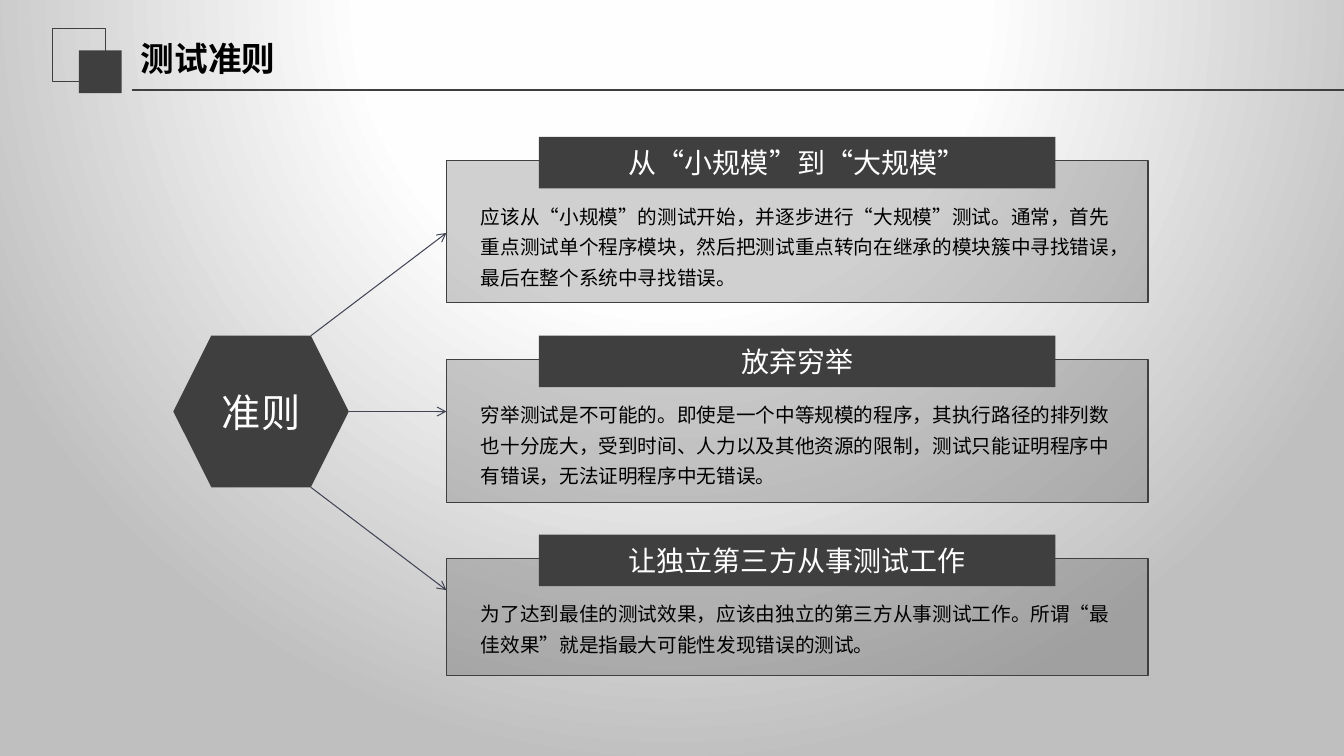
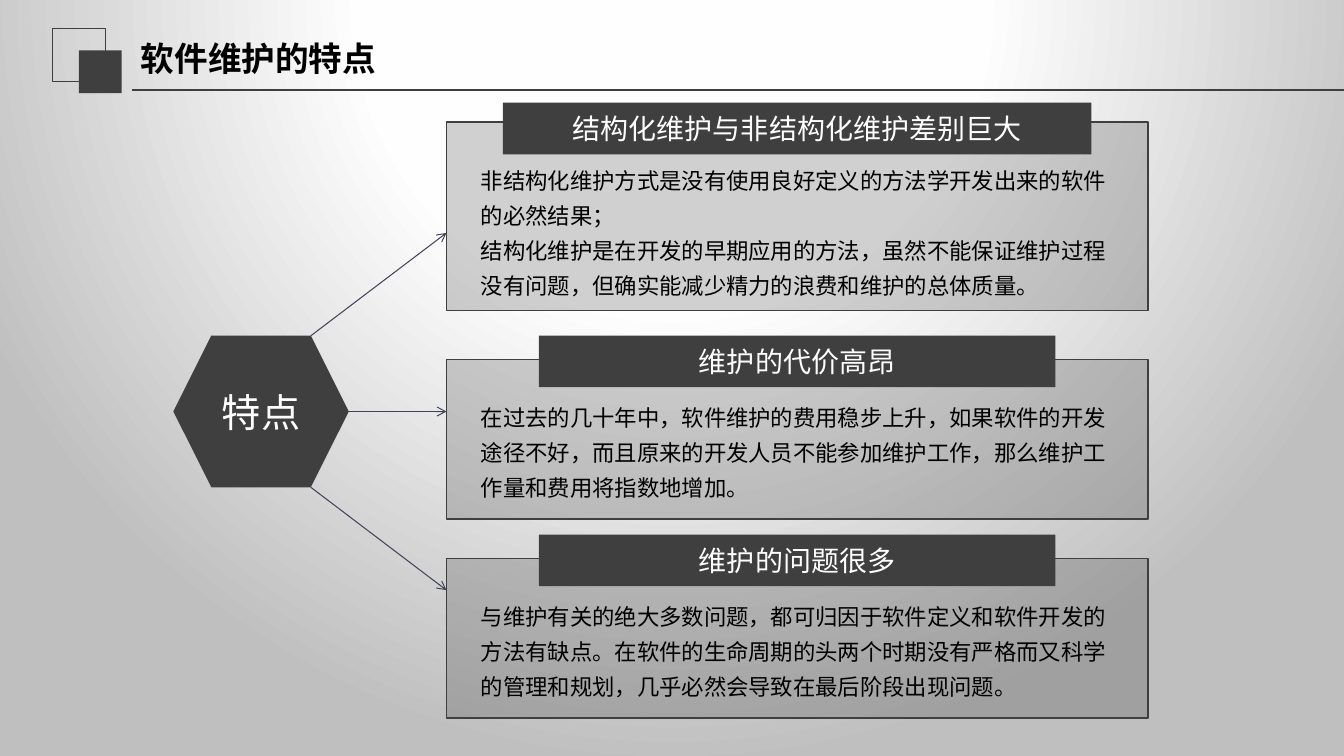
from dataclasses import dataclass

from lxml import etree
from pptx import Presentation
from pptx import oxml
from pptx import util as u
from pptx.dml import color
from pptx.enum import shapes, text
from pptx.oxml import ns

COLORS = {
    "dark": "3F3F3F",
    "arrow": "414455",
    "title": "000000",
    "body": "000000",
    "light": "FFFFFF",
}
BACKDROP_STOPS = [(0, "FFFFFF"), (40, "FEFEFE"), (100, "BFBFBF")]
CJK_FONT = "Noto Sans CJK SC"
TITLE_FONT = "Calibri"

SLIDE_W, SLIDE_H = 33.87, 19.05
PANEL_LEFT, PANEL_W = 11.25, 17.68
BANNER_H = 1.3
BODY_LEFT, BODY_W = 11.87, 16.8
FIRST_TOP, PITCH = 3.45, 5.01
HUB_LEFT, HUB_TOP, HUB_W, HUB_H = 4.37, 8.46, 4.42, 3.82
ARROW_SPREAD = 4.5


@dataclass(frozen=True)
class Box:
    left: float
    top: float
    width: float
    height: float

    def lengths(self) -> list[u.Length]:
        return [u.Cm(v) for v in (self.left, self.top, self.width, self.height)]


@dataclass(frozen=True)
class TextStyle:
    size: float
    color: str
    font: str = CJK_FONT
    bold: bool = False
    align: text.PP_ALIGN | None = None
    spacing: float | None = None


@dataclass(frozen=True)
class Card:
    heading: str
    paragraphs: tuple[str, ...]
    lines: int
    panel_h: float
    lift: float = 0
    banner_w: float = 13.02
    panel_drop: float = 0.6
    body_drop: float = 1.4


@dataclass(frozen=True)
class Topic:
    title: str
    hub: str
    body_size: float
    cards: tuple[Card, ...]


TOPICS = (
    Topic("测试准则", "准则", 14, (
        Card("从“小规模”到“大规模”",
             ("应该从“小规模”的测试开始，并逐步进行“大规模”测试。通常，首先重点测试单个程序模块，"
              "然后把测试重点转向在继承的模块簇中寻找错误，最后在整个系统中寻找错误。",), 3, 3.58),
        Card("放弃穷举",
             ("穷举测试是不可能的。即使是一个中等规模的程序，其执行路径的排列数也十分庞大，"
              "受到时间、人力以及其他资源的限制，测试只能证明程序中有错误，无法证明程序中无错误。",), 3, 3.6),
        Card("让独立第三方从事测试工作",
             ("为了达到最佳的测试效果，应该由独立的第三方从事测试工作。"
              "所谓“最佳效果”就是指最大可能性发现错误的测试。",), 2, 2.95),
    )),
    Topic("软件维护的特点", "特点", 16, (
        Card("结构化维护与非结构化维护差别巨大",
             ("非结构化维护方式是没有使用良好定义的方法学开发出来的软件的必然结果；",
              "结构化维护是在开发的早期应用的方法，虽然不能保证维护过程没有问题，"
              "但确实能减少精力的浪费和维护的总体质量。"), 4, 4.75,
             lift=0.86, banner_w=14.83, panel_drop=0.49, body_drop=1.3),
        Card("维护的代价高昂",
             ("在过去的几十年中，软件维护的费用稳步上升，如果软件的开发途径不好，"
              "而且原来的开发人员不能参加维护工作，那么维护工作量和费用将指数地增加。",), 3, 4.02),
        Card("维护的问题很多",
             ("与维护有关的绝大多数问题，都可归因于软件定义和软件开发的方法有缺点。"
              "在软件的生命周期的头两个时期没有严格而又科学的管理和规划，"
              "几乎必然会导致在最后阶段出现问题。",), 3, 4.02),
    )),
)

TITLE_STYLE = TextStyle(24, "title", TITLE_FONT, bold=True)
BANNER_STYLE = TextStyle(20, "light", align=text.PP_ALIGN.CENTER)
HUB_STYLE = TextStyle(28, "light", align=text.PP_ALIGN.CENTER)


def rgb(name: str) -> color.RGBColor:
    return color.RGBColor.from_string(COLORS[name])


def write(frame, paragraphs: tuple[str, ...], style: TextStyle) -> None:
    frame.word_wrap = True
    for index, content in enumerate(paragraphs):
        paragraph = frame.add_paragraph() if index else frame.paragraphs[0]
        paragraph.text = content
        paragraph.alignment = style.align
        paragraph.line_spacing = style.spacing
        font = paragraph.font
        font.size = u.Pt(style.size)
        font.bold = style.bold
        font.color.rgb = rgb(style.color)
        font.name = style.font
        defaults = next(paragraph._p.iter(ns.qn("a:defRPr")))
        etree.SubElement(defaults, ns.qn("a:ea"), typeface=CJK_FONT)


def add_block(slide, box: Box, kind=shapes.MSO_SHAPE.RECTANGLE, fill: str | None = None,
              opacity: int = 100, line: str | None = None, line_pt: float = 1):
    block = slide.shapes.add_shape(kind, *box.lengths())
    block.shadow.inherit = False
    if fill:
        block.fill.solid()
        block.fill.fore_color.rgb = rgb(fill)
        if opacity < 100:
            tint = next(block._element.spPr.iter(ns.qn("a:srgbClr")))
            etree.SubElement(tint, ns.qn("a:alpha"), val=str(opacity * 1000))
    else:
        block.fill.background()
    if line:
        block.line.color.rgb = rgb(line)
        block.line.width = u.Pt(line_pt)
    else:
        block.line.fill.background()
    return block


def add_label(slide, box: Box, content: str, style: TextStyle,
              kind=shapes.MSO_SHAPE.RECTANGLE) -> None:
    frame = add_block(slide, box, kind, fill="dark").text_frame
    frame.vertical_anchor = text.MSO_ANCHOR.MIDDLE
    write(frame, (content,), style)


def add_text(slide, box: Box, paragraphs: tuple[str, ...], style: TextStyle,
             anchor=text.MSO_ANCHOR.TOP) -> None:
    frame = slide.shapes.add_textbox(*box.lengths()).text_frame
    frame.vertical_anchor = anchor
    write(frame, paragraphs, style)


def add_line(slide, start: tuple[float, float], end: tuple[float, float],
             line: str, width: float, arrow: bool = False) -> None:
    points = [u.Cm(v) for v in (*start, *end)]
    connector = slide.shapes.add_connector(shapes.MSO_CONNECTOR.STRAIGHT, *points)
    connector.line.color.rgb = rgb(line)
    connector.line.width = u.Pt(width)
    properties = connector._element.spPr
    if arrow:
        etree.SubElement(properties.find(ns.qn("a:ln")), ns.qn("a:tailEnd"), type="arrow")
    etree.SubElement(properties, ns.qn("a:effectLst"))


def set_backdrop(slide) -> None:
    stops = "".join(f'<a:gs pos="{pos * 1000}"><a:srgbClr val="{tone}"/></a:gs>'
                    for pos, tone in BACKDROP_STOPS)
    backdrop = oxml.parse_xml(
        f'<p:bg {ns.nsdecls("p", "a")}><p:bgPr><a:gradFill rotWithShape="1">'
        f'<a:gsLst>{stops}</a:gsLst><a:path path="circle">'
        '<a:fillToRect l="50000" t="-80000" r="50000" b="180000"/></a:path>'
        '</a:gradFill><a:effectLst/></p:bgPr></p:bg>')
    slide.element.cSld.insert(0, backdrop)


def add_header(slide, title: str) -> None:
    add_block(slide, Box(1.32, 0.72, 1.33, 1.33), line="dark", line_pt=0.75)
    add_block(slide, Box(1.99, 1.27, 1.08, 1.08), fill="dark")
    add_line(slide, (3.33, 2.26), (SLIDE_W, 2.26), "dark", 1.25)
    add_text(slide, Box(3.3, 0.72, 12.04, 1.48), (title,), TITLE_STYLE,
             text.MSO_ANCHOR.MIDDLE)


def add_hub(slide, label: str) -> None:
    add_label(slide, Box(HUB_LEFT, HUB_TOP, HUB_W, HUB_H), label, HUB_STYLE,
              shapes.MSO_SHAPE.HEXAGON)
    middle = HUB_TOP + HUB_H / 2
    right = HUB_LEFT + HUB_W
    for side in (-1, 0, 1):
        corner = right - abs(side) * HUB_H / 4
        add_line(slide, (corner, middle + side * HUB_H / 2),
                 (PANEL_LEFT, middle + side * ARROW_SPREAD), "arrow", 0.75, arrow=True)


def add_card(slide, card: Card, row: int, body_size: float) -> None:
    top = FIRST_TOP + row * PITCH - card.lift
    banner_left = PANEL_LEFT + (PANEL_W - card.banner_w) / 2
    body_h = 0.25 + card.lines * body_size / 18
    add_block(slide, Box(PANEL_LEFT, top + card.panel_drop, PANEL_W, card.panel_h),
              fill="dark", opacity=24, line="dark")
    add_label(slide, Box(banner_left, top, card.banner_w, BANNER_H), card.heading, BANNER_STYLE)
    add_text(slide, Box(BODY_LEFT, top + card.body_drop, BODY_W, body_h), card.paragraphs,
             TextStyle(body_size, "body", spacing=1.3))


def main() -> None:
    deck = Presentation()
    deck.slide_width, deck.slide_height = u.Cm(SLIDE_W), u.Cm(SLIDE_H)
    for topic in TOPICS:
        slide = deck.slides.add_slide(deck.slide_layouts[6])
        set_backdrop(slide)
        add_header(slide, topic.title)
        for row, card in enumerate(topic.cards):
            add_card(slide, card, row, topic.body_size)
        add_hub(slide, topic.hub)
    deck.save("out.pptx")


if __name__ == "__main__":
    main()
